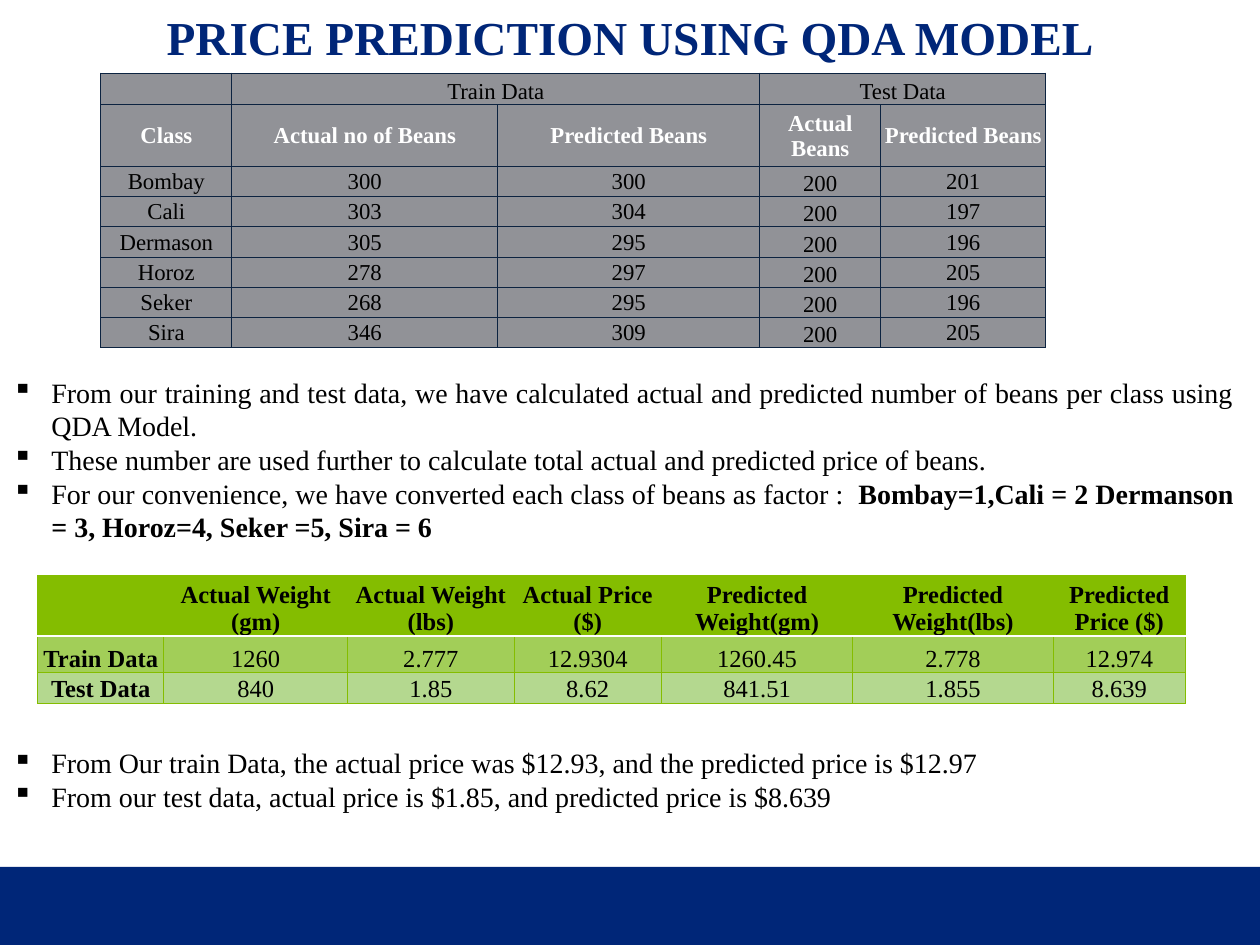
"""Build the bean price prediction slide."""
from dataclasses import dataclass
from typing import Callable, NamedTuple

from lxml import etree
from pptx import Presentation
from pptx.dml.color import RGBColor
from pptx.enum.shapes import MSO_SHAPE
from pptx.enum.text import MSO_ANCHOR, PP_ALIGN
from pptx.oxml.ns import qn
from pptx.util import Inches, Pt

RECT = MSO_SHAPE.RECTANGLE
MIDDLE, BOTTOM = MSO_ANCHOR.MIDDLE, MSO_ANCHOR.BOTTOM
CENTER, JUSTIFY, LEFT = PP_ALIGN.CENTER, PP_ALIGN.JUSTIFY, PP_ALIGN.LEFT


@dataclass(frozen=True)
class Theme:
    """Colours, font and type sizes."""
    font: str = "Times New Roman"
    navy: str = "002678"
    ink: str = "000000"
    white: str = "FFFFFF"
    grey: str = "919297"
    grey_line: str = "0C2340"
    green: str = "84BD00"
    green_mid: str = "A2CE58"
    green_pale: str = "B4D88F"
    title: int = 27
    body: int = 16
    beans: int = 13
    prices: int = 14


T = Theme()


class Line(NamedTuple):
    """Cell border colour and width in points."""
    color: str
    width: float


class CellStyle(NamedTuple):
    """Look of one table cell."""
    fill: str
    color: str
    bold: bool
    anchor: MSO_ANCHOR
    borders: dict[str, Line]


@dataclass(frozen=True)
class TableSpec:
    """Place, grid, wording and cell rule of a table."""
    left: float
    top: float
    cols: list[float]
    rows: list[float]
    cells: list[list[str]]
    size: int
    style: Callable[[int, int], CellStyle]
    merges: tuple[tuple[int, int, int], ...] = ()


class Span(NamedTuple):
    """Stretch of text in one weight."""
    text: str
    bold: bool = False


@dataclass(frozen=True)
class BulletBox:
    """Place and paragraphs of a bulleted text box."""
    box: tuple[float, float, float, float]
    align: PP_ALIGN
    paragraphs: list[list[Span]]


def bean_style(row: int, col: int) -> CellStyle:
    """Return the cell look of the bean count table."""
    head = row == 1
    low = row == 0 or (row > 1 and col == 3)
    line = Line(T.grey_line, 0.5)
    return CellStyle(T.grey, T.white if head else T.ink, head,
                     BOTTOM if low else MIDDLE, dict.fromkeys("LRTB", line))


def price_style(row: int, col: int) -> CellStyle:
    """Return the cell look of the price table."""
    borders = dict.fromkeys("LRTB", Line(T.green, 0.5))
    if row < 2:
        borders["B" if row == 0 else "T"] = Line(T.white, 1)
    fill = (T.green, T.green_mid, T.green_pale)[row]
    return CellStyle(fill, T.ink, row == 0 or col == 0, BOTTOM, borders)


BEANS = TableSpec(
    0.8, 0.58, [1.04, 2.11, 2.08, 0.96, 1.31], [0.25, 0.49] + [0.24] * 6,
    [["", "Train Data", "", "Test Data", ""],
     ["Class", "Actual no of Beans", "Predicted Beans", "Actual Beans", "Predicted Beans"],
     ["Bombay", "300", "300", "200", "201"],
     ["Cali", "303", "304", "200", "197"],
     ["Dermason", "305", "295", "200", "196"],
     ["Horoz", "278", "297", "200", "205"],
     ["Seker", "268", "295", "200", "196"],
     ["Sira", "346", "309", "200", "205"]],
    T.beans, bean_style, ((0, 1, 2), (0, 3, 4)))

PRICES = TableSpec(
    0.3, 4.57, [1, 1.46, 1.32, 1.17, 1.52, 1.59, 1.05], [0.47, 0.29, 0.24],
    [["", "Actual Weight (gm)", "Actual Weight (lbs)", "Actual Price ($)",
      "Predicted Weight(gm)", "Predicted Weight(lbs)", "Predicted Price ($)"],
     ["Train Data", "1260", "2.777", "12.9304", "1260.45", "2.778", "12.974"],
     ["Test Data", "840", "1.85", "8.62", "841.51", "1.855", "8.639"]],
    T.prices, price_style)

METHOD = BulletBox((0, 2.93, 9.89, 1.45), JUSTIFY, [
    [Span("From our training and test data, we have calculated actual and predicted "
          "number of beans per class using QDA Model.")],
    [Span("These number are used further to calculate total actual and predicted "
          "price of beans.")],
    [Span("For our convenience, we have converted each class of beans as factor :  "),
     Span("Bombay=1,Cali = 2 Dermanson = 3, Horoz=4, Seker =5, Sira = 6", True)]])

RESULT = BulletBox((0, 5.87, 10, 0.64), LEFT, [
    [Span("From Our train Data, the actual price was $12.93, and the predicted price is $12.97")],
    [Span("From our test data, actual price is $1.85, and predicted price is $8.639")]])


def set_all(obj, **values) -> None:
    """Set each named attribute on an object."""
    for name, value in values.items():
        setattr(obj, name, value)


def add_run(p, text: str, size: int, color: str, bold: bool) -> None:
    """Add a formatted run to a paragraph."""
    r = p.add_run()
    r.text = text
    set_all(r.font, name=T.font, size=Pt(size), bold=bold)
    r.font.color.rgb = RGBColor.from_string(color)


def add_border(cell, side: str, line: Line) -> None:
    """Add one border line to a cell."""
    ln = etree.SubElement(cell._tc.get_or_add_tcPr(), qn(f"a:ln{side}"),
                          w=str(int(Pt(line.width))))
    fill = etree.SubElement(ln, qn("a:solidFill"))
    etree.SubElement(fill, qn("a:srgbClr"), val=line.color)


def format_cell(cell, text: str, size: int, style: CellStyle) -> None:
    """Write and format one cell."""
    set_all(cell, vertical_anchor=style.anchor, margin_left=Inches(0.01),
            margin_right=Inches(0.01), margin_top=Inches(0.01), margin_bottom=0)
    for side, line in style.borders.items():
        add_border(cell, side, line)
    cell.fill.solid()
    cell.fill.fore_color.rgb = RGBColor.from_string(style.fill)
    p = cell.text_frame.paragraphs[0]
    p.alignment = CENTER
    if text:
        add_run(p, text, size, style.color, style.bold)
    else:
        etree.SubElement(p._p, qn("a:endParaRPr"), sz=str(size * 100))


def add_table(s, spec: TableSpec) -> None:
    """Draw a table from its spec."""
    box = (spec.left, spec.top, sum(spec.cols), sum(spec.rows))
    table = s.shapes.add_table(len(spec.rows), len(spec.cols), *map(Inches, box)).table
    set_all(table, first_row=False, horz_banding=False)
    for column, width in zip(table.columns, spec.cols):
        column.width = Inches(width)
    for row, height in zip(table.rows, spec.rows):
        row.height = Inches(height)
    for i, texts in enumerate(spec.cells):
        for j, text in enumerate(texts):
            format_cell(table.cell(i, j), text, spec.size, spec.style(i, j))
    for row, first, last in spec.merges:
        table.cell(row, first).merge(table.cell(row, last))


def add_bullets(s, spec: BulletBox) -> None:
    """Draw a bulleted text box."""
    tf = s.shapes.add_textbox(*map(Inches, spec.box)).text_frame
    tf.word_wrap = True
    for i, spans in enumerate(spec.paragraphs):
        p = tf.add_paragraph() if i else tf.paragraphs[0]
        p.alignment = spec.align
        pPr = p._p.get_or_add_pPr()
        pPr.set("marL", str(Inches(0.31)))
        pPr.set("indent", str(Inches(-0.31)))
        etree.SubElement(pPr, qn("a:buChar"), char="▪")
        for span in spans:
            add_run(p, span.text, T.body, T.ink, span.bold)


def add_band(s) -> None:
    """Draw the footer band."""
    sp = s.shapes.add_shape(RECT, *map(Inches, (0, 6.88, 10, 0.62)))
    sp.shadow.inherit = False
    sp.fill.solid()
    sp.fill.fore_color.rgb = RGBColor.from_string(T.navy)
    sp.line.fill.background()


def set_title(s, text: str) -> None:
    """Place and format the title."""
    sp = s.shapes.title
    set_all(sp, left=0, top=0, width=Inches(10), height=Inches(0.56))
    tf = sp.text_frame
    set_all(tf, vertical_anchor=BOTTOM, word_wrap=True, margin_left=Inches(0.07),
            margin_right=Inches(0.07), margin_top=Inches(0.04), margin_bottom=Inches(0.04))
    p = tf.paragraphs[0]
    set_all(p, alignment=CENTER, line_spacing=0.9)
    add_run(p, text, T.title, T.navy, True)


def main() -> None:
    """Build and save the slide."""
    prs = Presentation()
    set_all(prs, slide_width=Inches(10), slide_height=Inches(7.5))
    s = prs.slides.add_slide(prs.slide_layouts[5])
    add_band(s)
    set_title(s, "PRICE PREDICTION USING QDA MODEL")
    add_table(s, BEANS)
    add_bullets(s, METHOD)
    add_table(s, PRICES)
    add_bullets(s, RESULT)
    prs.save("out.pptx")


if __name__ == "__main__":
    main()
